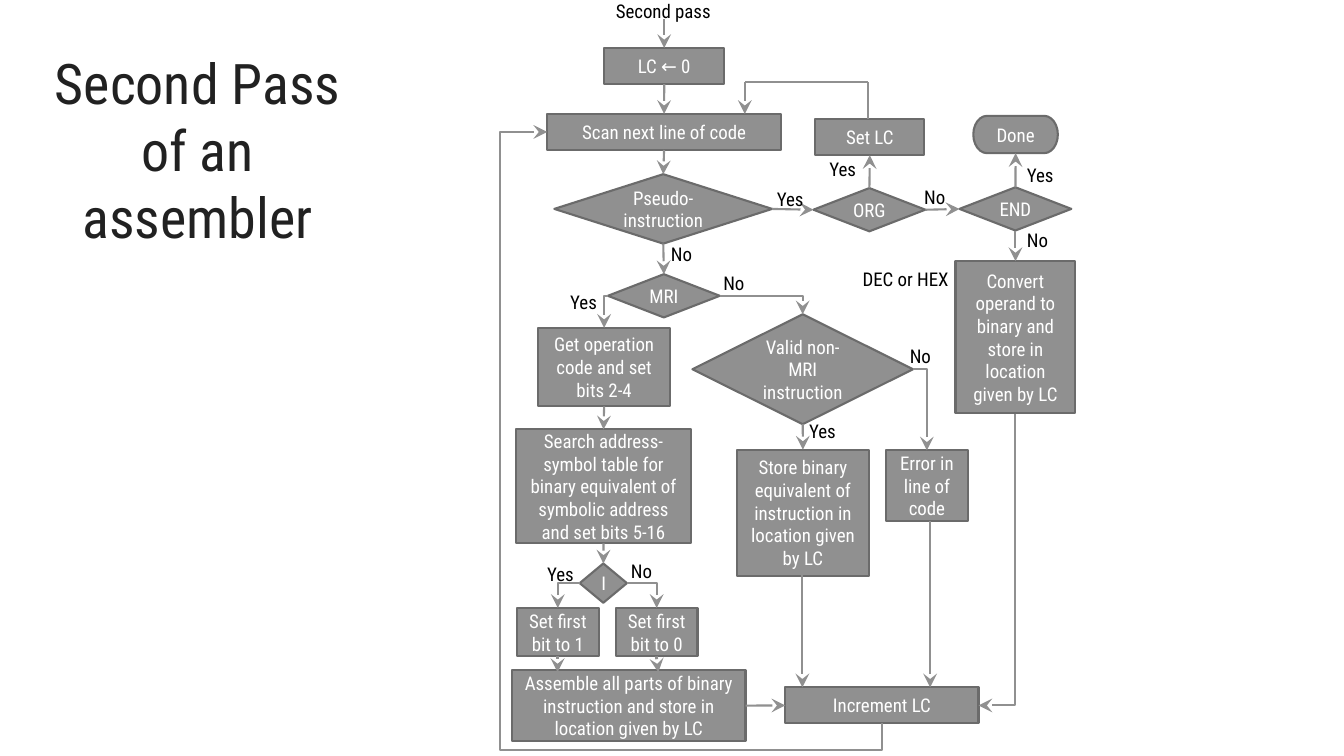
from lxml import etree
from pptx import Presentation
from pptx import util as u
from pptx.dml.color import RGBColor
from pptx.enum import shapes, text
from pptx.oxml import ns

GRAY = RGBColor(0x90, 0x90, 0x90)
OUTLINE = RGBColor(0x6B, 0x6B, 0x6B)
WHITE = RGBColor(0xFF, 0xFF, 0xFF)
BLACK = RGBColor(0x00, 0x00, 0x00)
TITLE_COLOR = RGBColor(0x21, 0x21, 0x21)
FONT = "Roboto Condensed"
TOP, LEFT, BOTTOM, RIGHT = range(4)
RECT = shapes.MSO_SHAPE.RECTANGLE
DECISION = shapes.MSO_SHAPE.FLOWCHART_DECISION
TERMINATOR = shapes.MSO_SHAPE.FLOWCHART_TERMINATOR
STRAIGHT = shapes.MSO_CONNECTOR.STRAIGHT
ELBOW = shapes.MSO_CONNECTOR.ELBOW


def add_run(paragraph, wording, color, size=13.5):
    run = paragraph.add_run()
    run.text = wording
    run.font.name = FONT
    run.font.size = u.Pt(size)
    run.font.color.rgb = color


def style_connector(connector, arrow=True, width=1.5):
    connector.line.color.rgb = GRAY
    connector.line.width = u.Pt(width)
    properties = connector._element.spPr
    if arrow:
        line = properties.find(ns.qn("a:ln"))
        etree.SubElement(line, ns.qn("a:tailEnd"), type="stealth", w="lg", len="lg")
    etree.SubElement(properties, ns.qn("a:effectLst"))


presentation = Presentation()
presentation.slide_width = u.Cm(33.87)
presentation.slide_height = u.Cm(19.05)
slide = presentation.slides.add_slide(presentation.slide_layouts[6])

steps = [
    ("clear", RECT, 15.23, 1.21, 3.02, 0.91, "LC ← 0"),
    ("scan", RECT, 13.79, 2.87, 5.89, 0.91, "Scan next line of code"),
    ("pseudo", DECISION, 13.97, 4.39, 5.49, 1.75, "Pseudo-instruction"),
    ("set_lc", RECT, 20.55, 3, 2.74, 0.91, "Set LC"),
    ("org", DECISION, 20.5, 4.74, 2.82, 1.09, "ORG"),
    ("end", DECISION, 24.18, 4.72, 2.82, 1.09, "END"),
    ("done", TERMINATOR, 24.53, 2.92, 2.13, 0.94, "Done"),
    ("convert", RECT, 24.08, 6.58, 3.02, 3.84,
     "Convert operand to binary and store in location given by LC"),
    ("mri", DECISION, 15.32, 6.91, 2.82, 1.09, "MRI"),
    ("valid", DECISION, 17.45, 7.92, 5.56, 2.77, "Valid non-MRI instruction"),
    ("get", RECT, 13.56, 8.26, 3.33, 1.98, "Get operation code and set bits 2-4"),
    ("search", RECT, 13, 10.82, 4.42, 2.87,
     "Search address-symbol table for binary equivalent of symbolic address and set bits 5-16"),
    ("indirect", DECISION, 14.61, 14.2, 1.19, 0.99, "I"),
    ("bit_one", RECT, 13.03, 15.32, 2.06, 1.22, "Set first bit to 1"),
    ("bit_zero", RECT, 15.52, 15.32, 2.06, 1.22, "Set first bit to 0"),
    ("assemble", RECT, 12.9, 16.89, 5.89, 1.78,
     "Assemble all parts of binary instruction and store in location given by LC"),
    ("store", RECT, 18.57, 11.33, 3.33, 3.18,
     "Store binary equivalent of instruction in location given by LC"),
    ("error", RECT, 22.33, 11.35, 2.06, 1.78, "Error in line of code"),
    ("increment", RECT, 19.79, 17.32, 4.87, 0.91, "Increment LC"),
]
nodes = {}
for name, kind, left, top, width, height, wording in steps:
    shape = slide.shapes.add_shape(kind, u.Cm(left), u.Cm(top), u.Cm(width), u.Cm(height))
    shape.shadow.inherit = False
    shape.fill.solid()
    shape.fill.fore_color.rgb = GRAY
    shape.line.color.rgb = OUTLINE
    shape.line.width = u.Pt(1.5)
    shape.text_frame.word_wrap = True
    shape.text_frame.vertical_anchor = text.MSO_ANCHOR.MIDDLE
    paragraph = shape.text_frame.paragraphs[0]
    paragraph.alignment = text.PP_ALIGN.CENTER
    add_run(paragraph, wording, WHITE)
    nodes[name] = shape

flows = [
    ("clear", BOTTOM, "scan", TOP, None),
    ("scan", BOTTOM, "pseudo", TOP, None),
    ("pseudo", RIGHT, "org", LEFT, None),
    ("pseudo", BOTTOM, "mri", TOP, None),
    ("org", TOP, "set_lc", BOTTOM, None),
    ("org", RIGHT, "end", LEFT, None),
    ("end", TOP, "done", BOTTOM, None),
    ("end", BOTTOM, "convert", TOP, None),
    ("get", BOTTOM, "search", TOP, None),
    ("search", BOTTOM, "indirect", TOP, None),
    ("valid", BOTTOM, "store", TOP, None),
    ("assemble", RIGHT, "increment", LEFT, None),
    ("mri", LEFT, "get", TOP, "bentConnector2"),
    ("mri", RIGHT, "valid", TOP, "bentConnector2"),
    ("valid", RIGHT, "error", TOP, "bentConnector2"),
    ("indirect", LEFT, "bit_one", TOP, "bentConnector2"),
    ("indirect", RIGHT, "bit_zero", TOP, "bentConnector2"),
    ("convert", BOTTOM, "increment", RIGHT, "bentConnector2"),
    ("increment", BOTTOM, "scan", LEFT, "bentConnector4"),
]
for source, source_side, target, target_side, bend in flows:
    connector = slide.shapes.add_connector(ELBOW if bend else STRAIGHT, 0, 0, 0, 0)
    connector.begin_connect(nodes[source], source_side)
    connector.end_connect(nodes[target], target_side)
    style_connector(connector)
    if bend:
        geometry = connector._element.spPr.find(ns.qn("a:prstGeom"))
        geometry.set("prst", bend)
    if bend and source_side == BOTTOM:
        across = connector.end_x - connector.begin_x
        down = connector.end_y - connector.begin_y
        middle_x = (connector.begin_x + connector.end_x) // 2
        middle_y = (connector.begin_y + connector.end_y) // 2
        connector.width, connector.height = abs(down), abs(across)
        connector.left = middle_x - abs(down) // 2
        connector.top = middle_y - abs(across) // 2
        transform = connector._element.spPr.find(ns.qn("a:xfrm"))
        transform.set("rot", "5400000")
        transform.set("flipH", str(int(down < 0)))
        transform.set("flipV", str(int(across > 0)))
    if bend == "bentConnector4":
        guides = geometry.find(ns.qn("a:avLst"))
        for guide, value in (("adj1", -4500), ("adj2", 114200)):
            etree.SubElement(guides, ns.qn("a:gd"), name=guide, fmla=f"val {value}")

free_lines = [
    (16.74, 0.48, 16.74, 1.21, True, 1.5),
    (21.87, 3, 21.87, 2.06, False, 1.5),
    (21.87, 2.06, 18.77, 2.06, False, 1.5),
    (18.77, 2.06, 18.77, 2.87, True, 1.5),
    (20.22, 14.5, 20.22, 17.32, True, 1.5),
    (23.44, 13.13, 23.44, 17.32, True, 1.5),
    (14.05, 16.54, 14.05, 16.94, True, 2),
    (16.54, 16.54, 16.59, 16.94, True, 2),
]
for x1, y1, x2, y2, arrow, width in free_lines:
    connector = slide.shapes.add_connector(STRAIGHT, u.Cm(x1), u.Cm(y1), u.Cm(x2), u.Cm(y2))
    style_connector(connector, arrow, width)

label_widths = {"Second pass": 2.92, "DEC or HEX": 2.72, "Yes": 1.3, "No": 1.07}
labels = [
    ("Second pass", 15.27, -0.13),
    ("Yes", 19.33, 4.6),
    ("No", 23.04, 4.55),
    ("No", 25.63, 5.64),
    ("No", 16.66, 5.99),
    ("Yes", 20.65, 3.84),
    ("Yes", 25.63, 3.99),
    ("No", 17.98, 6.71),
    ("Yes", 14.12, 7.21),
    ("DEC or HEX", 21.49, 6.62),
    ("No", 22.68, 8.56),
    ("Yes", 20.14, 10.46),
    ("Yes", 13.54, 14.05),
    ("No", 15.65, 13.97),
]
for wording, left, top in labels:
    label = slide.shapes.add_textbox(u.Cm(left), u.Cm(top), u.Cm(label_widths[wording]), u.Cm(0.84))
    label.text_frame.word_wrap = False
    label.text_frame.auto_size = text.MSO_AUTO_SIZE.SHAPE_TO_FIT_TEXT
    add_run(label.text_frame.paragraphs[0], wording, BLACK)

title = slide.shapes.add_textbox(u.Cm(0.99), u.Cm(1.09), u.Cm(7.98), u.Cm(5.38))
title.text_frame.word_wrap = True
title.text_frame.auto_size = text.MSO_AUTO_SIZE.SHAPE_TO_FIT_TEXT
for index, wording in enumerate(("Second Pass", "of an assembler")):
    paragraph = title.text_frame.add_paragraph() if index else title.text_frame.paragraphs[0]
    paragraph.alignment = text.PP_ALIGN.CENTER
    add_run(paragraph, wording, TITLE_COLOR, 40)

presentation.save("out.pptx")
